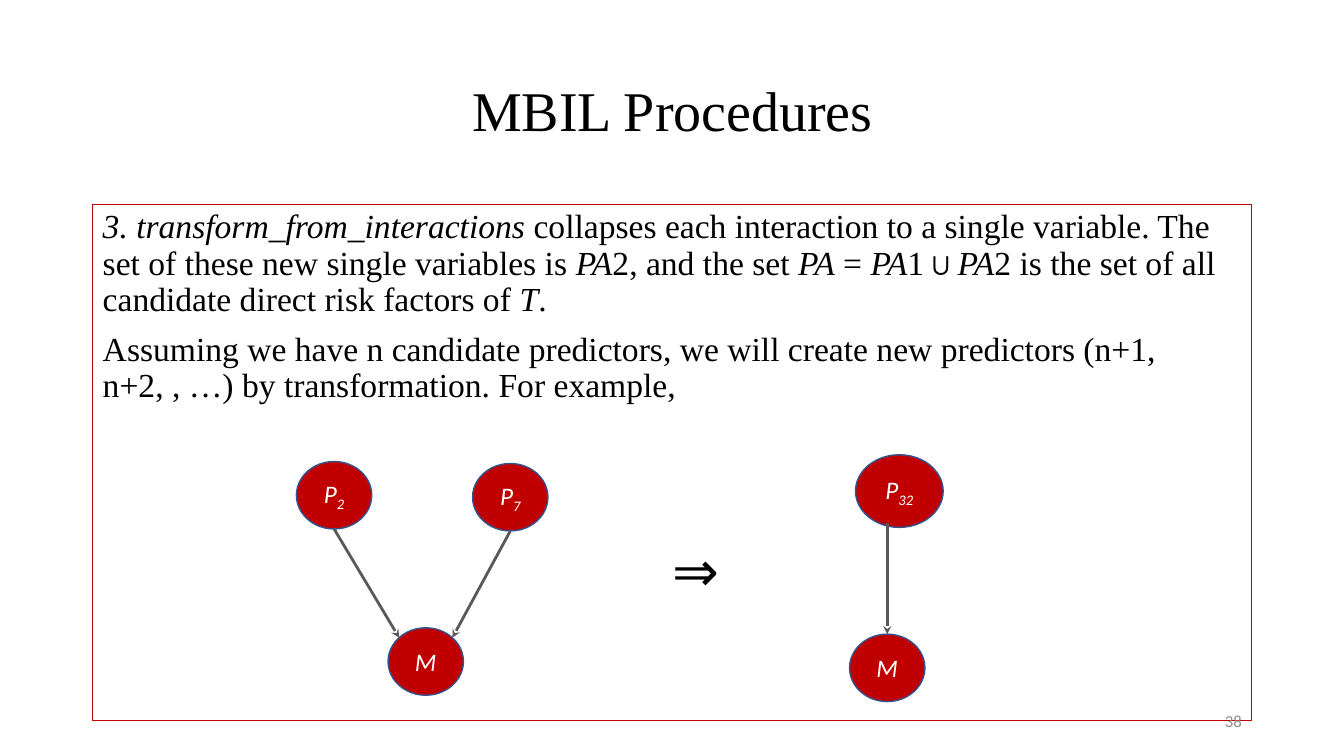
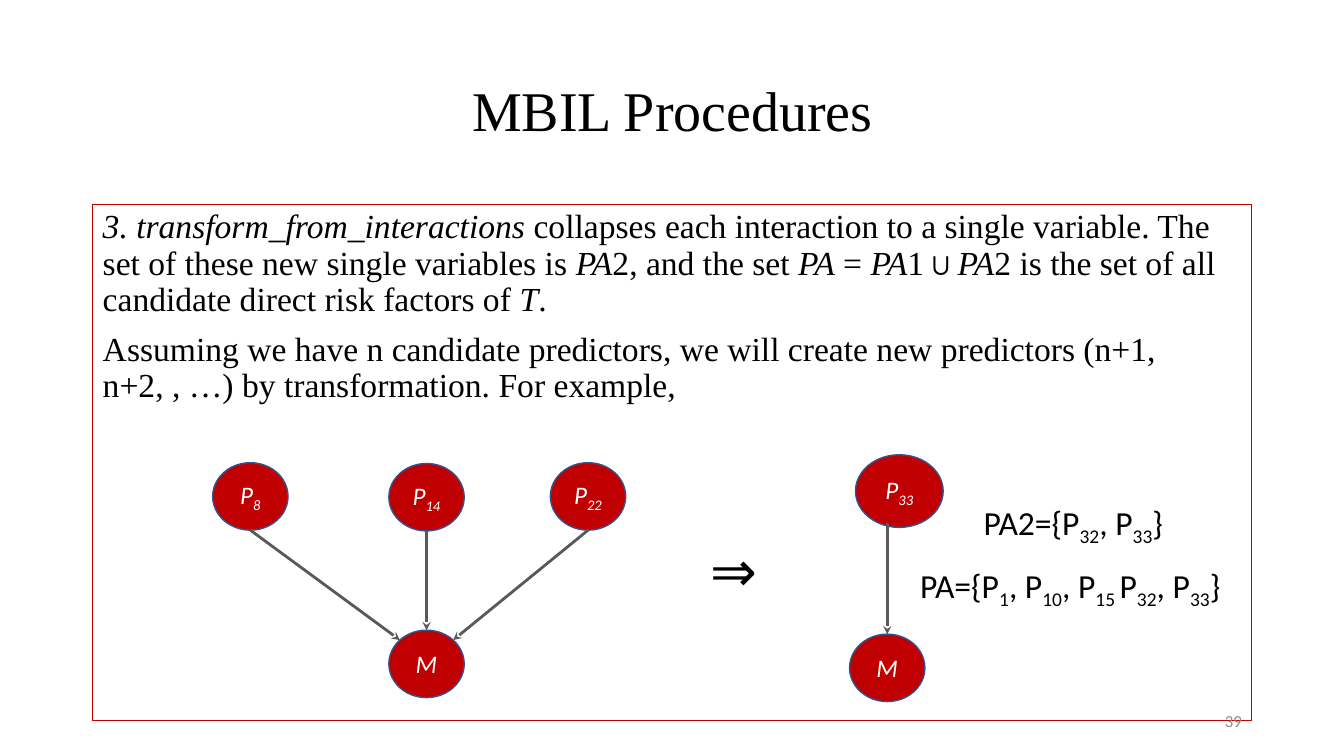
"""Build two slides that show how interactions collapse to single variables."""
from math import sqrt

from lxml.etree import SubElement
from pptx import Presentation
from pptx.dml.color import RGBColor
from pptx.enum.shapes import MSO_CONNECTOR, MSO_SHAPE
from pptx.enum.text import MSO_ANCHOR as Anchor, MSO_AUTO_SIZE as Auto, PP_ALIGN as Al
from pptx.oxml.ns import qn
from pptx.util import Cm, Pt

RED, BLUE, GREY, PALE, BLACK, WHITE = "C00000", "325491", "595959", "8C8C8C", "000000", "FFFFFF"
SERIF, SANS = "Times New Roman", "Calibri"
NODE_W, NODE_H = 1.9, 1.7
rgb = RGBColor.from_string

TITLE_FONT = {"name": SERIF, "size": Pt(40)}
BODY_FONT = {"name": SERIF, "size": Pt(24)}
NUMBER_FONT = {"name": SANS, "size": Pt(12)}
NODE_FONT = {"name": SANS, "size": Pt(18), "italic": True}
IMPLIES_FONT = {"name": SANS, "size": Pt(40)}
SET_FONT = {"name": SANS, "size": Pt(24)}

TIGHT = {"line_spacing": 0.9}
BODY = [
    "|3. transform_from_interactions| collapses each interaction to a single variable. "
    "The set of these new single variables is |PA|2, and the set |PA| = |PA|1∪|PA|2 is "
    "the set of all candidate direct risk factors of |T|.",
    "Assuming we have n candidate predictors, we will create new predictors "
    "(n+1, n+2, , …) by transformation. For example,",
]


def write(shape, lines, font, color=BLACK, para={}, frame={}, mark="sub"):
    """Fill a shape with lines in which text between bars is marked as sub or italic."""
    tf = shape.text_frame
    for key, value in {"word_wrap": True, "auto_size": Auto.NONE, **frame}.items():
        setattr(tf, key, value)
    for i, line in enumerate(lines):
        p = tf.add_paragraph() if i else tf.paragraphs[0]
        for key, value in para.items():
            setattr(p, key, value)
        for j, part in enumerate(line.split("|")):
            if not part:
                continue
            r = p.add_run()
            r.text = part
            for key, value in font.items():
                setattr(r.font, key, value)
            r.font.color.rgb = rgb(color)
            if j % 2 and mark == "sub":
                r.font._element.set("baseline", "-25000")
            elif j % 2:
                r.font.italic = True


def add_node(shapes, label, x, y, w=NODE_W, h=NODE_H):
    """Add a red ellipse with a label."""
    sp = shapes.add_shape(MSO_SHAPE.OVAL, Cm(x), Cm(y), Cm(w), Cm(h))
    sp.shadow.inherit = False
    sp.fill.solid()
    sp.fill.fore_color.rgb = rgb(RED)
    sp.line.color.rgb = rgb(BLUE)
    sp.line.width = Pt(1)
    write(sp, [label], NODE_FONT, WHITE, {"alignment": Al.CENTER},
          {"vertical_anchor": Anchor.MIDDLE, "word_wrap": False})


SLIDES = [
    {"number": "38", "implies": 16.69, "sets": [], "target": (9.78, 15.82), "merged": "P|32|",
     "parents": [("P|2|", 7.47, 11.63), ("P|7|", 11.91, 11.68)]},
    {"number": "39", "implies": 17.65, "target": (9.8, 15.88), "merged": "P|33|",
     "parents": [("P|8|", 5.36, 11.66), ("P|14|", 9.8, 11.68), ("P|22|", 13.87, 11.66)],
     "sets": [("PA2={P|32|, P|33|}", 24.54, 12.52, 5.23),
              ("PA={P|1|, P|10|, P|15 |P|32|, P|33|}", 22.94, 14.1, 8.51)]},
]

prs = Presentation()
prs.slide_width, prs.slide_height = Cm(33.87), Cm(19.05)

for data in SLIDES:
    s = prs.slides.add_slide(prs.slide_layouts[5])
    title = s.shapes.title
    title.left, title.top, title.width, title.height = Cm(2.34), Cm(1.02), Cm(29.21), Cm(3.68)
    write(title, ["MBIL Procedures"], TITLE_FONT, para={"alignment": Al.CENTER, **TIGHT},
          frame={"vertical_anchor": Anchor.MIDDLE})

    body = s.shapes.add_textbox(Cm(2.34), Cm(5.16), Cm(29.21), Cm(13))
    body.line.color.rgb = rgb(RED)
    body.line.width = Pt(0.75)
    write(body, BODY, BODY_FONT, para={"space_before": Pt(10), **TIGHT}, mark="italic")

    number = s.shapes.add_textbox(Cm(23.93), Cm(17.65), Cm(7.62), Cm(1.02))
    write(number, [data["number"]], NUMBER_FONT, PALE, {"alignment": Al.RIGHT},
          {"vertical_anchor": Anchor.MIDDLE})

    parents = [(*node, NODE_W, NODE_H) for node in data["parents"]]
    merged = [(data["merged"], 21.56, 11.46, 2.21, 1.83)]
    for (mx, my), nodes in [(data["target"], parents), ((21.41, 15.98), merged)]:
        shapes = s.shapes.add_group_shape().shapes
        add_node(shapes, "M", mx, my)
        cx = mx + NODE_W / 2
        for label, x, y, w, h in nodes:
            add_node(shapes, label, x, y, w, h)
            start_x, start_y = x + w / 2, y + h
            end_x, end_y = cx, my
            if abs(start_x - cx) < w / 4:
                start_y -= abs(start_x - cx) / 3
                start_x = cx
            else:
                side = 1 if start_x > cx else -1
                end_x += side * NODE_W / 2 / sqrt(2)
                end_y += NODE_H / 2 * (1 - 1 / sqrt(2))
            arrow = shapes.add_connector(MSO_CONNECTOR.STRAIGHT, Cm(start_x), Cm(start_y),
                                         Cm(end_x), Cm(end_y))
            arrow.line.color.rgb = rgb(GREY)
            arrow.line.width = Pt(2)
            SubElement(arrow.line._get_or_add_ln(), qn("a:tailEnd"), type="stealth")
            SubElement(arrow._element.spPr, qn("a:effectLst"))

    grow = {"word_wrap": False, "auto_size": Auto.SHAPE_TO_FIT_TEXT}
    implies = s.shapes.add_textbox(Cm(data["implies"]), Cm(13.36), Cm(1.75), Cm(1.96))
    write(implies, ["⇒"], IMPLIES_FONT, frame=grow)
    for text, x, y, w in data["sets"]:
        write(s.shapes.add_textbox(Cm(x), Cm(y), Cm(w), Cm(1.27)), [text], SET_FONT, frame=grow)

prs.save("out.pptx")
